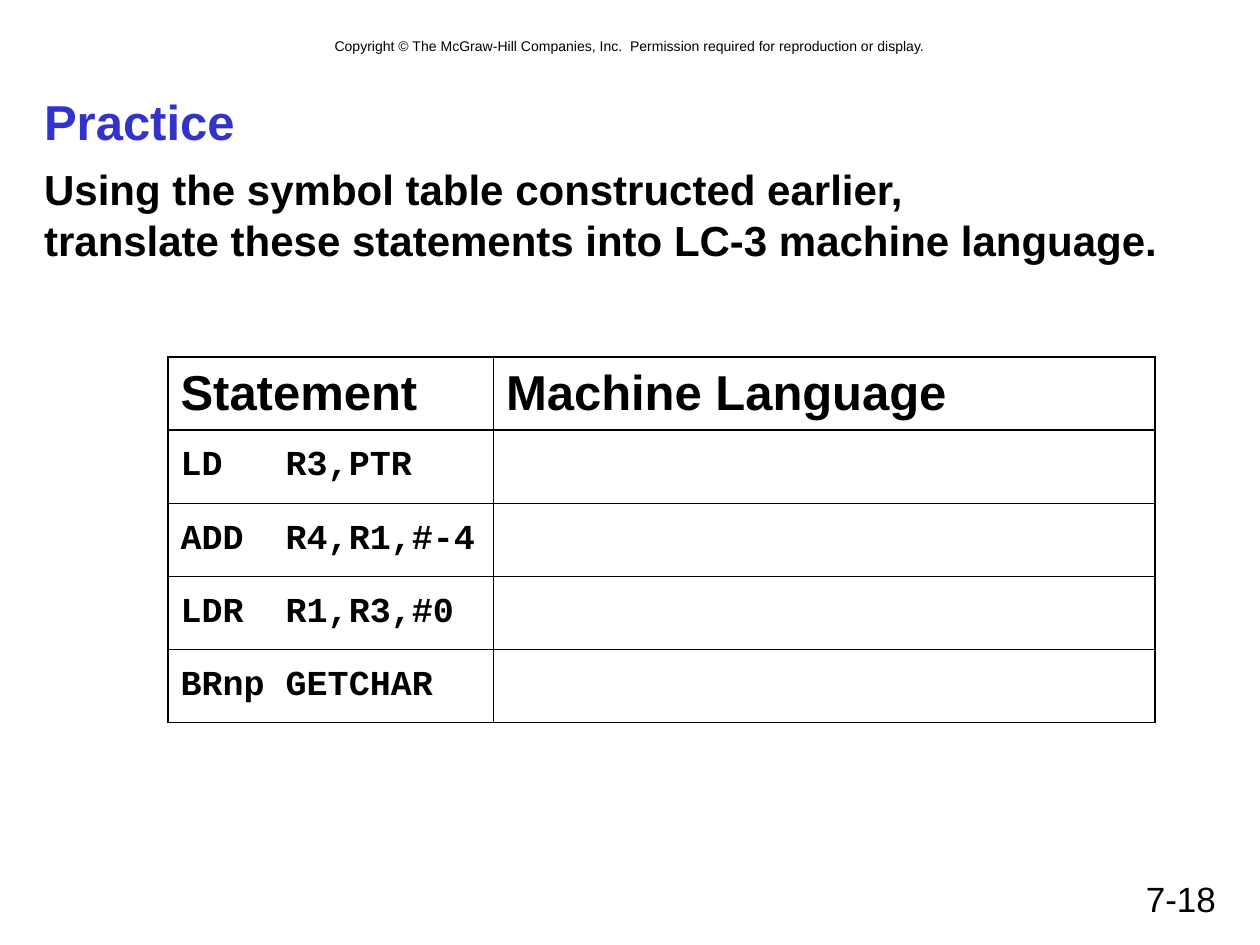
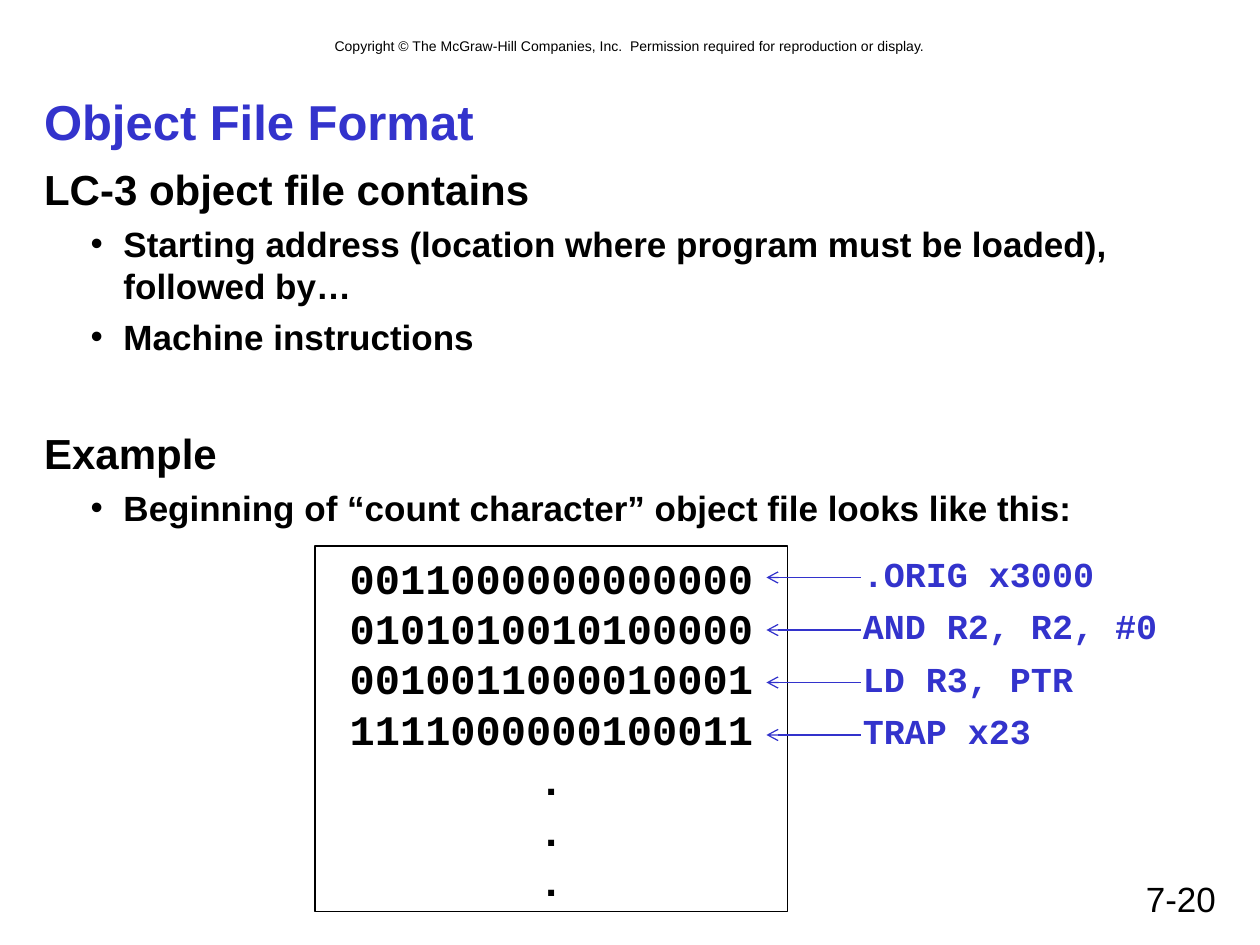
import pptx
import pptx.dml.color
import pptx.enum.shapes
import pptx.enum.text
import pptx.oxml.ns
import pptx.util
from lxml import etree

# Shared look
BLACK = pptx.dml.color.RGBColor(0x00, 0x00, 0x00)
BLUE = pptx.dml.color.RGBColor(0x33, 0x33, 0xCC)
SANS, MONO = "Arial", "Courier New"
ALIGN = pptx.enum.text.PP_ALIGN
ANCHOR = pptx.enum.text.MSO_ANCHOR
FIT = pptx.enum.text.MSO_AUTO_SIZE
THICK, THIN = 1.08, 0.45

# Page grid: twelve cells to the inch
WIDE, HIGH = pptx.util.Inches(10), pptx.util.Inches(7.5)
COLS, ROWS = 120, 90

NOTICE = ("Copyright © The McGraw-Hill Companies, Inc.  "
          "Permission required for reproduction or display.")


def grid(*cells):
    """Turn x, y, x, y ... grid counts into lengths."""
    units = (WIDE / COLS, HIGH / ROWS)
    return [round(n * units[i % 2]) for i, n in enumerate(cells)]


def apply(item, values):
    for name, value in values.items():
        setattr(item, name, value)


def style(size, font=SANS, color=BLACK, bold=True):
    return {"size": pptx.util.Pt(size), "name": font, "bold": bold, "color": color}


def write(para, text, look, align=ALIGN.LEFT, before=0):
    """Fill one paragraph and format its runs."""
    para.text = text
    apply(para, {"alignment": align, "space_before": pptx.util.Pt(before)})
    for run in para.runs:
        apply(run.font, {k: v for k, v in look.items() if k != "color"})
        run.font.color.rgb = look["color"]


def frame(shape, anchor=ANCHOR.TOP, wrap=True):
    text = shape.text_frame
    apply(text, {"word_wrap": wrap, "auto_size": FIT.NONE, "vertical_anchor": anchor})
    return text


def place(shape, *cells):
    apply(shape, dict(zip(("left", "top", "width", "height"), grid(*cells))))


def label(slide, cells, text, look, align=ALIGN.LEFT, wrap=True):
    box = slide.shapes.add_textbox(*grid(*cells))
    write(frame(box, wrap=wrap).paragraphs[0], text, look, align)


def bullet(para, mark):
    """Set the indent and the bullet; no mark means a plain line."""
    props = para._p.get_or_add_pPr()
    left, hang = (0.63, -0.26) if mark else (0, 0)
    props.set("marL", str(pptx.util.Inches(left)))
    props.set("indent", str(pptx.util.Inches(hang)))
    tag = "a:buChar" if mark else "a:buNone"
    node = etree.SubElement(props, pptx.oxml.ns.qn(tag))
    if mark:
        node.set("char", mark)


def base(deck, title, lines, number):
    """Add a slide with title, list, notice and number."""
    slide = deck.slides.add_slide(deck.slide_layouts[1])
    label(slide, (8, 3, 104, 2.9), NOTICE, style(8, bold=False), ALIGN.CENTER)
    label(slide, (86, 83, 31, 5), number, style(20, bold=False), ALIGN.RIGHT)
    head, body = slide.placeholders
    place(head, 3, 8, 114, 7)
    write(frame(head, ANCHOR.MIDDLE).paragraphs[0], title, style(28, color=BLUE))
    place(body, 3, 15, 114, 65)
    text = frame(body)
    for i, (level, before, line) in enumerate(lines):
        para = text.add_paragraph() if i else text.paragraphs[0]
        para.level = level
        bullet(para, "•" if level else None)
        write(para, line, style(20 if level else 24), before=before)
    return slide


def border(cell, sides):
    """Draw the cell's edges, given as widths by side."""
    props = cell._tc.get_or_add_tcPr()
    for i, side in enumerate("LRTB"):
        line = etree.Element(pptx.oxml.ns.qn("a:ln" + side),
                             w=str(pptx.util.Pt(sides[side])))
        fill = etree.SubElement(line, pptx.oxml.ns.qn("a:solidFill"))
        etree.SubElement(fill, pptx.oxml.ns.qn("a:srgbClr"), val=str(BLACK))
        props.insert(i, line)


def table(slide, spot, widths, row, data):
    size = (sum(widths), row * len(data))
    grid_box = slide.shapes.add_table(len(data), len(widths), *grid(*spot, *size))
    tab = grid_box.table
    apply(tab, {"first_row": False, "horz_banding": False})
    for col, width in zip(tab.columns, widths):
        col.width = grid(width)[0]
    last, end = len(data) - 1, len(widths) - 1
    for r, texts in enumerate(data):
        tab.rows[r].height = grid(0, row)[1]
        look = style(20, MONO) if r else style(28)
        for c, text in enumerate(texts):
            cell = tab.cell(r, c)
            cell.vertical_anchor = ANCHOR.MIDDLE
            cell.fill.background()
            write(cell.text_frame.paragraphs[0], text, look)
            bold = {"L": c == 0, "R": c == end, "T": r < 2, "B": r in (0, last)}
            border(cell, {s: THICK if on else THIN for s, on in bold.items()})


def panel(slide, cells, text, look):
    """Add an outlined box of centred text."""
    box = slide.shapes.add_shape(pptx.enum.shapes.MSO_SHAPE.RECTANGLE, *grid(*cells))
    box.shadow.inherit = False
    box.fill.background()
    box.line.color.rgb = BLACK
    box.line.width = pptx.util.Pt(0.75)
    write(frame(box).paragraphs[0], text, look, ALIGN.CENTER)


def arrow(slide, *ends):
    line = slide.shapes.add_connector(pptx.enum.shapes.MSO_CONNECTOR.STRAIGHT,
                                      *grid(*ends))
    line.line.color.rgb = BLUE
    line.line.width = pptx.util.Pt(0.75)
    etree.SubElement(line.line._get_or_add_ln(), pptx.oxml.ns.qn("a:tailEnd"),
                     type="arrow")
    etree.SubElement(line._element.spPr, pptx.oxml.ns.qn("a:effectLst"))


def drill(deck):
    """Practice slide with the table to fill in."""
    task = ("Using the symbol table constructed earlier,\n"
            "translate these statements into LC-3 machine language.")
    slide = base(deck, "Practice", [(0, 0, task)], "7-18")
    codes = ["LD   R3,PTR", "ADD  R4,R1,#-4", "LDR  R1,R3,#0", "BRnp GETCHAR"]
    data = [("Statement", "Machine Language")] + [(code, "") for code in codes]
    table(slide, (16, 34), (31, 63), 6.96, data)


def layout(deck):
    """Object file slide with the marked-up listing."""
    slide = base(deck, "Object File Format", [
        (0, 0, "LC-3 object file contains"),
        (1, 5, "Starting address (location where program must be loaded),\n"
               "followed by…"),
        (1, 5, "Machine instructions"),
        (0, 40, "Example"),
        (1, 5, "Beginning of “count character” object file looks like this:"),
    ], "7-20")
    words = {
        "0011000000000000": ".ORIG x3000",
        "0101010010100000": "AND R2, R2, #0",
        "0010011000010001": "LD R3, PTR",
        "1111000000100011": "TRAP x23",
    }
    panel(slide, (30, 52, 45, 34.8), "\n".join([*words, *"..."]), style(24, MONO))
    for i, note in enumerate(words.values()):
        top = 52 + 5 * i
        label(slide, (81, top, 31, 5.3), note, style(20, MONO, BLUE), wrap=False)
        arrow(slide, 82, top + 3, 73, top + 3)


def main():
    deck = pptx.Presentation()
    apply(deck, {"slide_width": WIDE, "slide_height": HIGH})
    drill(deck)
    layout(deck)
    deck.save("out.pptx")


if __name__ == "__main__":
    main()
